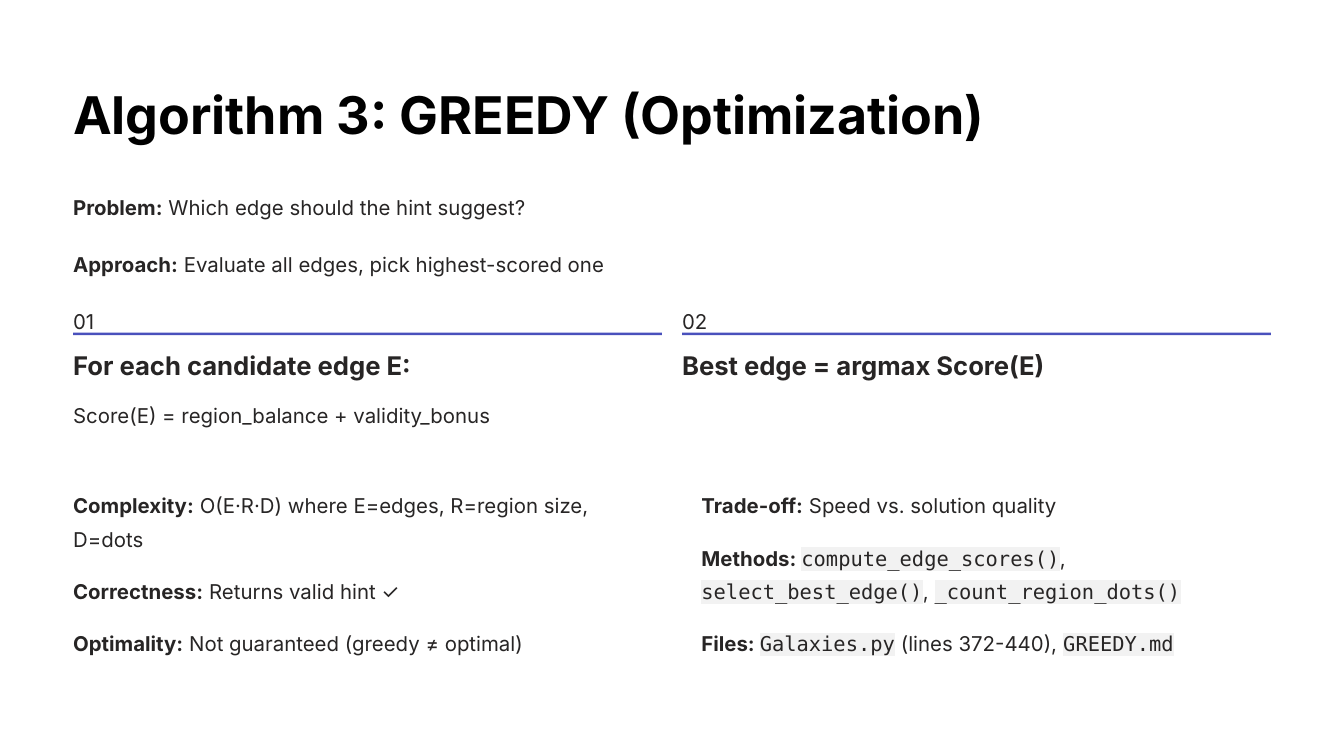
"""Build the slide on the greedy algorithm."""
from dataclasses import dataclass

from lxml.etree import SubElement as Sub
from pptx import Presentation
from pptx.dml.color import RGBColor as Rgb
from pptx.enum.shapes import MSO_SHAPE as Kind
from pptx.enum.text import MSO_ANCHOR as Anchor, MSO_AUTO_SIZE as Fit, PP_ALIGN as Align
from pptx.oxml.ns import qn
from pptx.util import Inches, Pt

HUES = {"title": "000000", "body": "272525", "rule": "4950BC", "code": "F2F2F2"}
SANS, MONO = "Inter", "DejaVu Sans Mono"
WIDE, HIGH = Inches(16), Inches(9)
COLS, ROWS = 16, 9
LEFT, FULL, HALF, GAP = 0.87, 14.26, 7.01, 0.24
LIST = 6.83


@dataclass
class Step:
    mark: str
    head: str
    note: str = ""


@dataclass
class Facts:
    left: float
    lines: list[str]


STEPS = [
    Step("01", "For each candidate edge E:", "Score(E) = region_balance + validity_bonus"),
    Step("02", "Best edge = argmax Score(E)"),
]
FACTS = [
    Facts(LEFT, [
        "*Complexity:* O(E·R·D) where E=edges, R=region size, D=dots",
        "*Correctness:* Returns valid hint ✓",
        "*Optimality:* Not guaranteed (greedy ≠ optimal)",
    ]),
    Facts(LEFT + FULL - LIST + 0.05, [
        "*Trade-off:* Speed vs. solution quality",
        "*Methods: *`compute_edge_scores()`, `select_best_edge()`, `_count_region_dots()`",
        "*Files: *`Galaxies.py` (lines 372-440), `GREEDY.md`",
    ]),
]
INTRO = [
    "*Problem:* Which edge should the hint suggest?",
    "*Approach:* Evaluate all edges, pick highest-scored one",
]


def area(x: float, y: float, w: float, h: float) -> tuple[int, ...]:
    """Turn columns and rows into lengths."""
    col, row = WIDE / COLS, HIGH / ROWS
    return round(x * col), round(y * row), round(w * col), round(h * row)


def move(shape, spot: tuple[int, ...]):
    """Place a shape."""
    shape.left, shape.top, shape.width, shape.height = spot
    return shape


def add_run(para, text: str, size: float, hue: str, bold: bool, code: bool) -> None:
    """Add one run, shaded when it is code."""
    run = para.add_run()
    run.text = text
    font = run.font
    font.size, font.bold = Pt(size), bold
    font.name = MONO if code else SANS
    font.color.rgb = Rgb.from_string(HUES[hue])
    if code:
        props = run._r.get_or_add_rPr()
        light = Sub(props, qn("a:highlight"))
        Sub(light, qn("a:srgbClr"), val=HUES["code"])
        props.find(qn("a:latin")).addprevious(light)


def write(shape, lines: list[str], size: float = 17.5, lead: float = 28.5,
          hue: str = "body", bold: bool = False, gap: float = 0) -> None:
    """Fill a shape with lines, where * marks bold and ` marks code."""
    frame = shape.text_frame
    frame.auto_size, frame.word_wrap = Fit.NONE, True
    frame.vertical_anchor = Anchor.TOP
    frame.margin_left = frame.margin_right = frame.margin_top = frame.margin_bottom = 0
    for n, line in enumerate(lines):
        para = frame.paragraphs[0] if n == 0 else frame.add_paragraph()
        props = para._p.get_or_add_pPr()
        props.set("marL", "0")
        props.set("indent", "0")
        Sub(props, qn("a:buNone"))
        para.alignment = Align.LEFT
        para.line_spacing = Pt(lead)
        para.space_before = Pt(gap if n else 0)
        for i, part in enumerate(line.split("*")):
            for j, bit in enumerate(part.split("`")):
                if bit:
                    add_run(para, bit, size, hue, bold or i % 2 == 1, j % 2 == 1)


def add_step(slide, step: Step, x: float) -> None:
    """Draw a numbered step under its rule."""
    shapes = slide.shapes
    write(shapes.add_textbox(*area(x, 3.57, 1, 0.31)), [step.mark])
    rule = shapes.add_shape(Kind.RECTANGLE, *area(x, 3.96, HALF, 0.03))
    rule.shadow.inherit = False
    rule.fill.solid()
    rule.fill.fore_color.rgb = Rgb.from_string(HUES["rule"])
    rule.line.fill.background()
    write(shapes.add_textbox(*area(x, 4.15, HALF, 0.39)), [step.head],
          size=22, lead=27.5, bold=True)
    if step.note:
        write(shapes.add_textbox(*area(x, 4.69, HALF, 0.4)), [step.note])


def main() -> None:
    """Build and save the deck."""
    deck = Presentation()
    deck.slide_width, deck.slide_height = WIDE, HIGH
    slide = deck.slides.add_slide(deck.slide_layouts[3])
    title, *lists = slide.placeholders
    write(move(title, area(LEFT, 0.95, FULL, 0.78)),
          ["Algorithm 3: GREEDY (Optimization)"],
          size=44.5, lead=55.5, hue="title", bold=True)
    write(slide.shapes.add_textbox(*area(LEFT, 2.22, FULL, 1.07)), INTRO, gap=20)
    for n, step in enumerate(STEPS):
        add_step(slide, step, LEFT + n * (HALF + GAP))
    for body, facts in zip(lists, FACTS):
        write(move(body, area(facts.left, 5.77, LIST, 2.05)), facts.lines, gap=16.25)
    deck.save("out.pptx")


if __name__ == "__main__":
    main()
